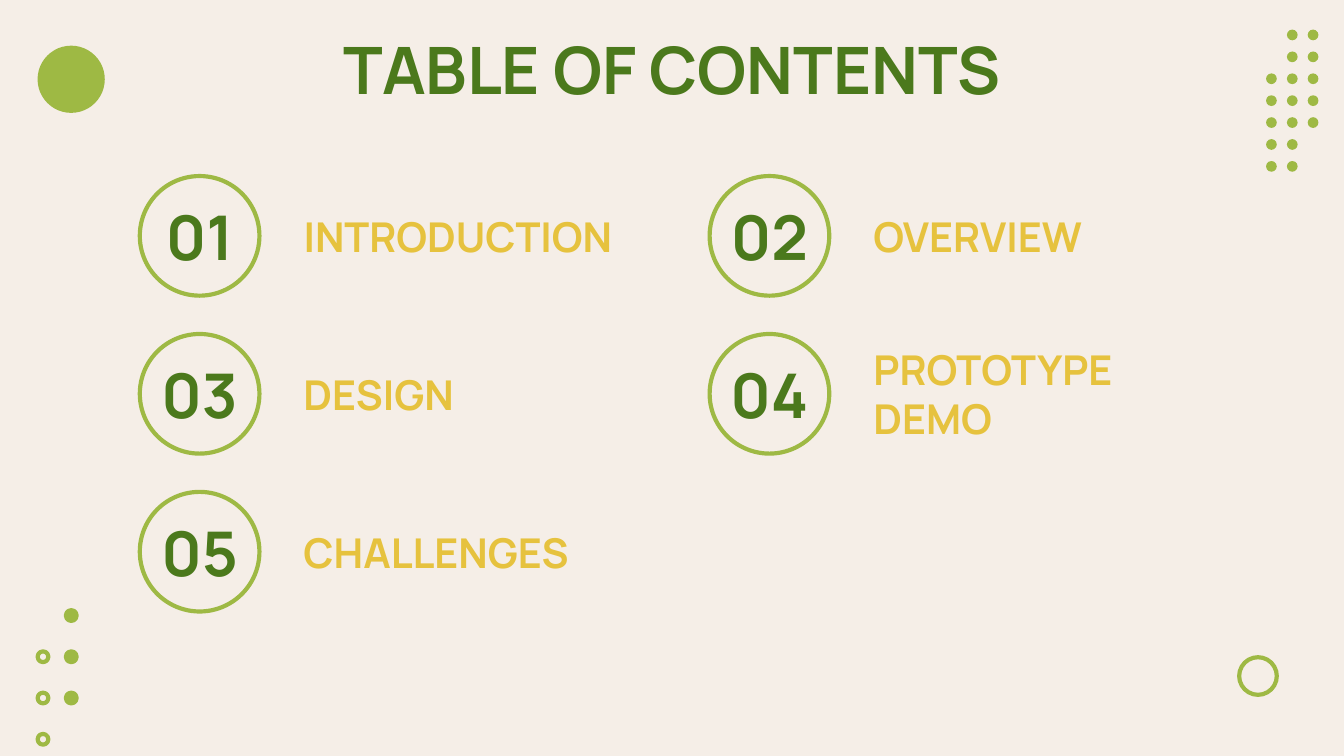
import pptx
import pptx.util
import pptx.dml.color
import pptx.enum.shapes
import pptx.enum.text

# Content
HEADING = "TABLE OF CONTENTS"
TOPICS = ["INTRODUCTION", "OVERVIEW", "DESIGN", "PROTOTYPE DEMO", "CHALLENGES"]
TOPIC_WIDTHS = [2.81, 2.6, 3.07, 2.81, 2.6]

# Dot patterns: "*" filled, "o" ring, "." nothing
DOT_SIZE = 0.08
DOT_FIELDS = [
    {"origin": (9.42, 0.22), "pitch": (0.155, 0.163), "outlined": False,
     "rows": [".**", ".**", "***", "***", "***", "**.", "**."]},
    {"origin": (0.28, 4.54), "pitch": (0.21, 0.307), "outlined": True,
     "rows": [".*", "o*", "o*", "o."]},
]

# Style
CREAM, LIME, GREEN, GOLD = "F5EEE7", "9EB944", "4B791C", "E6C23E"
LINE_WIDTH = 2.25
CENTER = pptx.enum.text.PP_ALIGN.CENTER
LEFT = pptx.enum.text.PP_ALIGN.LEFT
HEADING_FORMAT = {"size": pptx.util.Pt(35), "name": "Manrope", "bold": True}
NUMBER_FORMAT = {**HEADING_FORMAT, "size": pptx.util.Pt(33)}
TOPIC_FORMAT = {**HEADING_FORMAT, "size": pptx.util.Pt(22)}

# Grid of topics
COLUMNS = 2
GRID_LEFT, GRID_TOP = 1.04, 1.31
COLUMN_PITCH, ROW_PITCH = 4.24, 1.175
RING = 0.89
NUMBER_BOX = (0.98, 0.68)
TOPIC_OFFSET, TOPIC_HEIGHT = 1.12, 0.75


def color(hex_value):
    return pptx.dml.color.RGBColor.from_string(hex_value)


def inches(*lengths):
    return [pptx.util.Inches(length) for length in lengths]


def add_circle(slide, left, top, size, filled, outlined):
    circle = slide.shapes.add_shape(pptx.enum.shapes.MSO_SHAPE.OVAL,
                                    *inches(left, top, size, size))
    circle.shadow.inherit = False
    if filled:
        circle.fill.solid()
        circle.fill.fore_color.rgb = color(LIME)
    else:
        circle.fill.background()
    if outlined:
        circle.line.color.rgb = color(LIME)
        circle.line.width = pptx.util.Pt(LINE_WIDTH)
    else:
        circle.line.fill.background()


def write(box, text, text_color, font_format, align):
    frame = box.text_frame
    frame_format = {
        "word_wrap": True,
        "auto_size": pptx.enum.text.MSO_AUTO_SIZE.NONE,
        "vertical_anchor": pptx.enum.text.MSO_ANCHOR.MIDDLE,
    }
    for side in ("left", "top", "right", "bottom"):
        frame_format[f"margin_{side}"] = pptx.util.Inches(0.1)
    for name, value in frame_format.items():
        setattr(frame, name, value)
    paragraph = frame.paragraphs[0]
    paragraph.alignment = align
    run = paragraph.add_run()
    run.text = text
    for name, value in font_format.items():
        setattr(run.font, name, value)
    run.font.color.rgb = color(text_color)


def add_text(slide, place, *text_and_format):
    write(slide.shapes.add_textbox(*inches(*place)), *text_and_format)


def main():
    deck = pptx.Presentation()
    deck.slide_width, deck.slide_height = inches(10, 5.625)
    slide = deck.slides.add_slide(deck.slide_layouts.get_by_name("Title Only"))
    slide.background.fill.solid()
    slide.background.fill.fore_color.rgb = color(CREAM)

    # Corner dots
    for field in DOT_FIELDS:
        (left, top), (step_x, step_y) = field["origin"], field["pitch"]
        for row, marks in enumerate(field["rows"]):
            for column, mark in enumerate(marks):
                if mark != ".":
                    add_circle(slide, left + column * step_x, top + row * step_y,
                               DOT_SIZE, mark == "*", field["outlined"])

    # Corner disc and ring
    add_circle(slide, 0.28, 0.34, 0.5, True, False)
    add_circle(slide, 9.22, 4.89, 0.28, False, True)

    # Heading
    heading = slide.shapes.title
    heading.left, heading.top, heading.width, heading.height = inches(0.79, 0.19, 8.43, 0.63)
    write(heading, HEADING, GREEN, HEADING_FORMAT, CENTER)

    # Numbered topics
    for index, (topic, topic_width) in enumerate(zip(TOPICS, TOPIC_WIDTHS)):
        row, column = divmod(index, COLUMNS)
        left = GRID_LEFT + column * COLUMN_PITCH
        top = GRID_TOP + row * ROW_PITCH
        middle = top + RING / 2
        number_width, number_height = NUMBER_BOX
        add_circle(slide, left, top, RING, False, True)
        add_text(slide, (left + (RING - number_width) / 2, middle - number_height / 2,
                         number_width, number_height),
                 f"{index + 1:02}", GREEN, NUMBER_FORMAT, CENTER)
        add_text(slide, (left + TOPIC_OFFSET, middle - TOPIC_HEIGHT / 2,
                         topic_width, TOPIC_HEIGHT),
                 topic, GOLD, TOPIC_FORMAT, LEFT)

    deck.save("out.pptx")


if __name__ == "__main__":
    main()
